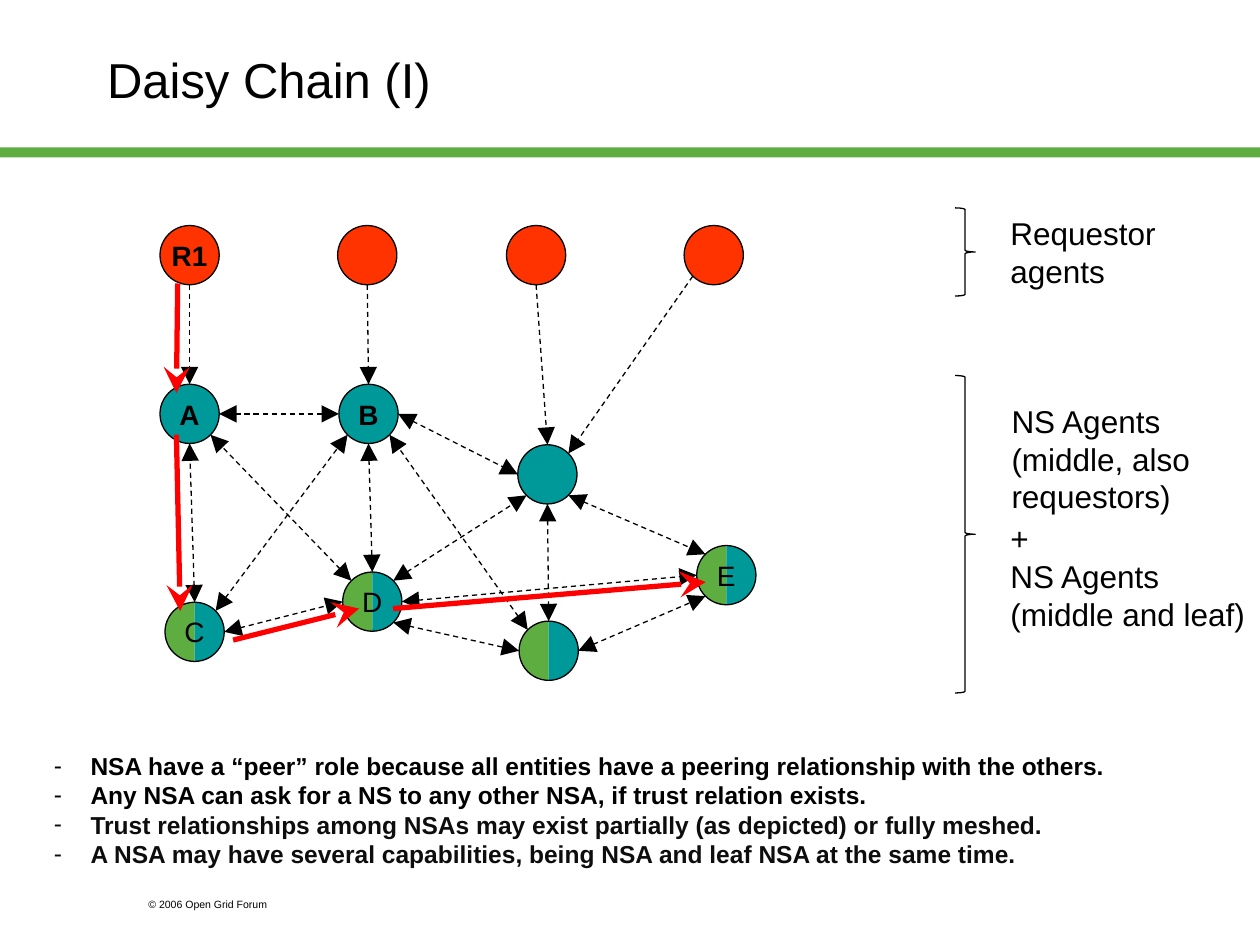
import math

import pptx
import pptx.dml.color
import pptx.enum.dml
import pptx.enum.shapes
import pptx.enum.text
import pptx.oxml
import pptx.oxml.ns
import pptx.util

Inches = pptx.util.Inches
Pt = pptx.util.Pt
RGBColor = pptx.dml.color.RGBColor
SHAPE = pptx.enum.shapes.MSO_SHAPE
ANCHOR = pptx.enum.text.MSO_ANCHOR
ALIGN = pptx.enum.text.PP_ALIGN

BLACK = RGBColor(0x00, 0x00, 0x00)
DARK = RGBColor(0x0D, 0x0D, 0x0D)
GREEN = RGBColor(0x5D, 0xAD, 0x41)
TEAL = RGBColor(0x00, 0x99, 0x99)
ORANGE = RGBColor(0xFF, 0x33, 0x00)
RED = RGBColor(0xFF, 0x00, 0x00)

DIAMETER = 0.47

# Left and top of each agent's circle
REQUESTORS = {"R1": (1.27, 1.79), "R2": (2.68, 1.79),
              "R3": (4.02, 1.79), "R4": (5.43, 1.79)}
MIDDLE_AGENTS = {"A": (1.27, 3.05), "B": (2.69, 3.05), "M": (4.11, 3.53)}
LEAF_AGENTS = {"C": (1.31, 4.78), "D": (2.72, 4.54),
               "E": (5.53, 4.33), "F": (4.12, 4.93)}
AGENTS = {**REQUESTORS, **MIDDLE_AGENTS, **LEAF_AGENTS}
LABELLED = {"R1", "A", "B", "C", "D", "E"}

# Compass points of a circle, in degrees clockwise from the right
COMPASS = {"E": 0, "SE": 45, "S": 90, "SW": 135,
           "W": 180, "NW": 225, "N": 270, "NE": 315}

# Agent and compass point at each end
REQUESTS = [("R1", "S", "A", "N"), ("R2", "S", "B", "N"),
            ("R3", "S", "M", "N"), ("R4", "SW", "M", "NE")]
PEERINGS = [("C", "N", "A", "S"), ("C", "E", "D", "W"), ("D", "E", "E", "W"),
            ("A", "E", "B", "W"), ("B", "E", "M", "W"), ("B", "S", "D", "N"),
            ("M", "S", "F", "N"), ("F", "E", "E", "SW"), ("D", "SE", "F", "W"),
            ("M", "SE", "E", "NW"), ("D", "NW", "A", "SE"), ("D", "NE", "M", "SW"),
            ("F", "NW", "B", "SE"), ("C", "NE", "B", "SW")]

# The chain R1 > A > C > D > E
CHAIN = [((1.41, 2.25), (1.40, 3.12)), ((1.40, 3.45), (1.43, 4.85)),
         ((1.85, 5.08), (2.85, 4.83)), ((3.12, 4.83), (5.60, 4.62))]

LABELS = [(7.92, 1.65, 2.08, 0.7, ["Requestor", "agents"]),
          (7.93, 3.14, 2.07, 1.0, ["NS Agents", "(middle, also\vrequestors)"]),
          (7.92, 4.07, 2.08, 1.0, ["+\vNS Agents", "(middle and leaf)"])]
BRACES = [(7.58, 1.65, 0.16, 0.7), (7.58, 2.98, 0.16, 2.52)]

NOTES = [
    ("NSA have a “peer” role because all entities have a peering relationship with the others.", BLACK),
    ("Any NSA can ask for a NS to any other NSA, if trust relation exists.", BLACK),
    ("Trust relationships among NSAs may exist partially (as depicted) or fully meshed.", DARK),
    ("A NSA may have several capabilities, being NSA and leaf NSA at the same time.", DARK),
]


def set_font(paragraph, size, color=BLACK, bold=False):
    font = paragraph.font
    font.name = "Arial"
    font.size = Pt(size)
    font.bold = bold
    font.color.rgb = color


def add_shape(shapes, kind, left, top, width, height, fill=None, outlined=False):
    shape = shapes.add_shape(kind, Inches(left), Inches(top), Inches(width), Inches(height))
    shape.shadow.inherit = False
    if fill is None:
        shape.fill.background()
    else:
        shape.fill.solid()
        shape.fill.fore_color.rgb = fill
    if outlined:
        shape.line.color.rgb = BLACK
        shape.line.width = Pt(0.75)
    else:
        shape.line.fill.background()
    return shape


def add_circle(shapes, name, left, top, fill=None, bold=True):
    circle = add_shape(shapes, SHAPE.OVAL, left, top, DIAMETER, DIAMETER, fill, outlined=True)
    if name in LABELLED:
        frame = circle.text_frame
        frame.word_wrap = False
        frame.vertical_anchor = ANCHOR.MIDDLE
        paragraph = frame.paragraphs[0]
        paragraph.text = name
        paragraph.alignment = ALIGN.CENTER
        set_font(paragraph, 16, bold=bold)


def add_leaf_agent(shapes, name, left, top):
    """A circle whose left half is green and right half teal."""
    group = shapes.add_group_shape()
    down, up = 54, 162  # 90 and 270 degrees in adjustment units
    for color, start, end in ((GREEN, down, up), (TEAL, up, down)):
        half = add_shape(group.shapes, SHAPE.PIE, left, top, DIAMETER, DIAMETER, color)
        half.adjustments[0] = start
        half.adjustments[1] = end
    add_circle(group.shapes, name, left, top, bold=False)


def edge_point(name, direction):
    left, top = AGENTS[name]
    radius = DIAMETER / 2
    angle = math.radians(COMPASS[direction])
    return (left + radius * (1 + math.cos(angle)), top + radius * (1 + math.sin(angle)))


def add_arrow(shapes, start, end, color, width, head, both_ends=False, dashed=False):
    arrow = shapes.add_connector(pptx.enum.shapes.MSO_CONNECTOR.STRAIGHT,
                                 *(Inches(value) for value in (*start, *end)))
    arrow.line.color.rgb = color
    arrow.line.width = Pt(width)
    if dashed:
        arrow.line.dash_style = pptx.enum.dml.MSO_LINE.DASH
    properties = arrow._element.spPr
    line = properties.find(pptx.oxml.ns.qn("a:ln"))
    namespace = pptx.oxml.ns.nsdecls("a")
    for tag in ("a:headEnd", "a:tailEnd") if both_ends else ("a:tailEnd",):
        line.append(pptx.oxml.parse_xml(
            f'<{tag} {namespace} type="{head}" w="lg" len="lg"/>'))
    properties.append(pptx.oxml.parse_xml(f'<a:effectLst {namespace}/>'))


def add_links(shapes, links, both_ends):
    for start, start_side, end, end_side in links:
        add_arrow(shapes, edge_point(start, start_side), edge_point(end, end_side),
                  BLACK, 0.75, "triangle", both_ends, dashed=True)


def add_text(shapes, left, top, width, height, lines, size, wrap=False):
    box = shapes.add_textbox(Inches(left), Inches(top), Inches(width), Inches(height))
    frame = box.text_frame
    frame.word_wrap = wrap
    frame.text = "\n".join(lines)
    for paragraph in frame.paragraphs:
        set_font(paragraph, size)
    return frame


def add_notes(shapes):
    frame = add_text(shapes, 0.33, 5.91, 8.58, 1.1, [text for text, _ in NOTES], 14, wrap=True)
    namespace = pptx.oxml.ns.nsdecls("a")
    for paragraph, (_, color) in zip(frame.paragraphs, NOTES):
        properties = paragraph._p.get_or_add_pPr()
        properties.set("marL", str(Inches(0.29)))
        properties.set("indent", str(Inches(-0.29)))
        bullet_color = f'<a:buClr {namespace}><a:srgbClr val="{color}"/></a:buClr>'
        bullet_font = f'<a:buFont {namespace} typeface="Arial"/>'
        bullet = f'<a:buChar {namespace} char="-"/>'
        default_run = properties.find(pptx.oxml.ns.qn("a:defRPr"))
        for xml in (bullet_color, bullet_font, bullet):
            default_run.addprevious(pptx.oxml.parse_xml(xml))
        set_font(paragraph, 14, color, bold=True)


def set_title(slide, text):
    title = slide.shapes.title
    title.left, title.top, title.width, title.height = (
        Inches(0.75), Inches(0), Inches(8.5), Inches(1.25))
    title.text_frame.vertical_anchor = ANCHOR.MIDDLE
    paragraph = title.text_frame.paragraphs[0]
    paragraph.text = text
    paragraph.alignment = ALIGN.LEFT
    set_font(paragraph, 28)


def main():
    presentation = pptx.Presentation()
    presentation.slide_width, presentation.slide_height = Inches(10), Inches(7.5)
    slide = presentation.slides.add_slide(presentation.slide_layouts[5])
    shapes = slide.shapes

    # Title, rule and footer
    set_title(slide, "Daisy Chain (I)")
    add_shape(shapes, SHAPE.RECTANGLE, 0, 1.17, 10, 0.08, GREEN)
    add_text(shapes, 1.08, 7.08, 1.5, 0.2, ["© 2006 Open Grid Forum"], 6)

    # Agents and their relationships
    for agents, color in ((MIDDLE_AGENTS, TEAL), (REQUESTORS, ORANGE)):
        for name, (left, top) in agents.items():
            add_circle(shapes, name, left, top, color)
    add_links(shapes, PEERINGS, both_ends=True)
    for name, (left, top) in LEAF_AGENTS.items():
        add_leaf_agent(shapes, name, left, top)
    add_links(shapes, REQUESTS, both_ends=False)
    for start, end in CHAIN:
        add_arrow(shapes, start, end, RED, 3, "stealth")

    # Legend on the right
    for label in LABELS:
        add_text(shapes, *label, 18)
    for brace in BRACES:
        add_shape(shapes, SHAPE.RIGHT_BRACE, *brace, outlined=True)

    # Notes below the diagram
    add_notes(shapes)
    presentation.save("out.pptx")


if __name__ == "__main__":
    main()
